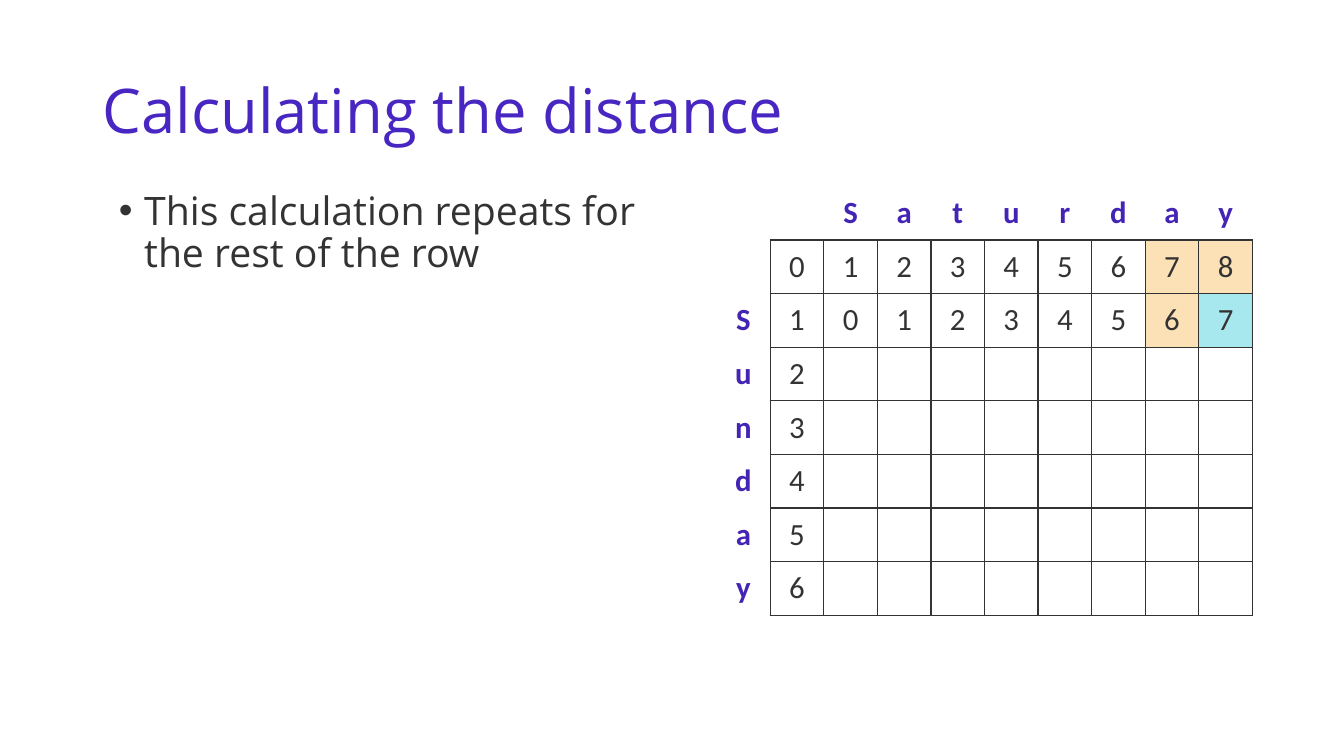
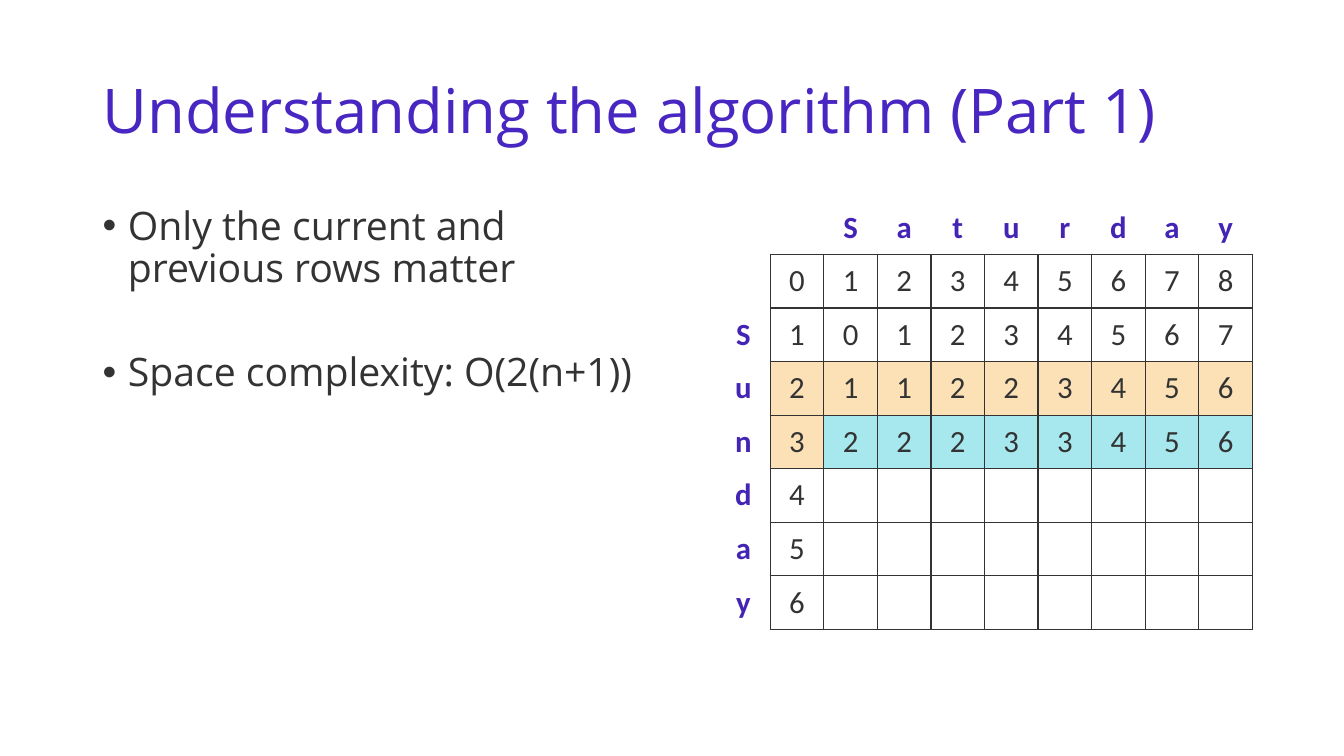
from dataclasses import dataclass

from lxml.etree import SubElement
from pptx import Presentation
from pptx.dml.color import RGBColor
from pptx.enum.text import MSO_ANCHOR, MSO_AUTO_SIZE, PP_ALIGN
from pptx.oxml.ns import qn
from pptx.util import Cm, Pt

COLUMN_WORD = "Saturday"
ROW_WORD = "Sunday"

SLIDES = [
    {
        "title": "Calculating the distance",
        "bullets": ["This calculation repeats for the rest of the row"],
        "body_box": (2.74, 4.7, 14.07, 12.47),
        "table_top": 4.7,
        "distances": ["012345678", "101234567", "2", "3", "4", "5", "6"],
        "marks": {0: ".......pp", 1: ".......pc"},
    },
    {
        "title": "Understanding the algorithm (Part 1)",
        "bullets": [
            "Only the current and previous rows matter",
            "Space complexity: O(2(n+1))",
        ],
        "body_box": (2.33, 5.08, 14.6, 12.09),
        "table_top": 5.06,
        "distances": ["012345678", "101234567", "211223456", "322233456", "4", "5", "6"],
        "marks": {2: "ppppppppp", 3: "pcccccccc"},
    },
]

TITLE_BOX = (2.33, 1.01, 29.21, 3.68)
TABLE_LEFT = 18.06
CELL_SIZE = 1.35
CELL_INSETS = (0.3, 0.15)
BULLET_INDENT = 0.64


@dataclass(frozen=True)
class Theme:
    title_color: str = "4826C1"
    letter_color: str = "4424B5"
    text_color: str = "333333"
    plain_fill: str = "FFFFFF"
    previous_fill: str = "FCE1B6"
    current_fill: str = "A7E8EE"
    text_font: str = "Open Sans"
    table_font: str = "Calibri"
    title_size: int = 44
    body_size: int = 28
    table_size: int = 22
    border_width: int = 1
    line_spacing: float = 0.9
    bullet_gap: int = 44


THEME = Theme()
MARK_FILLS = {
    ".": THEME.plain_fill,
    "p": THEME.previous_fill,
    "c": THEME.current_fill,
}


def write_text(paragraph, text, *, font, size, color, bold=False,
               alignment=PP_ALIGN.LEFT, line_spacing=None, space_before=0):
    paragraph.alignment = alignment
    paragraph.space_before = Pt(space_before)
    if line_spacing:
        paragraph.line_spacing = line_spacing
    run = paragraph.add_run()
    run.text = text
    run.font.name = font
    run.font.size = Pt(size)
    run.font.bold = bold
    run.font.color.rgb = RGBColor.from_string(color)


def place(shape, box):
    shape.left, shape.top, shape.width, shape.height = map(Cm, box)
    shape.text_frame.word_wrap = True
    shape.text_frame.auto_size = MSO_AUTO_SIZE.NONE


def add_bullet(paragraph):
    properties = paragraph._p.get_or_add_pPr()
    properties.set("marL", str(Cm(BULLET_INDENT)))
    properties.set("indent", str(-Cm(BULLET_INDENT)))
    SubElement(properties, qn("a:buFont"), typeface="Arial")
    SubElement(properties, qn("a:buChar"), char="•")


def fill_title(shape, text):
    place(shape, TITLE_BOX)
    shape.text_frame.vertical_anchor = MSO_ANCHOR.MIDDLE
    write_text(shape.text_frame.paragraphs[0], text, font=THEME.text_font,
               size=THEME.title_size, color=THEME.title_color,
               line_spacing=THEME.line_spacing)


def fill_body(shape, bullets, box):
    place(shape, box)
    frame = shape.text_frame
    for index, text in enumerate(bullets):
        paragraph = frame.add_paragraph() if index else frame.paragraphs[0]
        add_bullet(paragraph)
        write_text(paragraph, text, font=THEME.text_font, size=THEME.body_size,
                   color=THEME.text_color, line_spacing=THEME.line_spacing,
                   space_before=THEME.bullet_gap if index else 0)


def set_borders(cell, sides):
    properties = cell._tc.get_or_add_tcPr()
    for side in "LRTB":
        line = SubElement(properties, qn(f"a:ln{side}"),
                          w=str(Pt(THEME.border_width)))
        if side in sides:
            fill = SubElement(line, qn("a:solidFill"))
            SubElement(fill, qn("a:srgbClr"), val=THEME.text_color)
        else:
            SubElement(line, qn("a:noFill"))


def border_sides(row, column):
    if row and column:
        return "LRTB"
    if row:
        return "R"
    return "B" if column else ""


def format_cell(cell, text, fill, sides, is_letter):
    set_borders(cell, sides)
    cell.fill.solid()
    cell.fill.fore_color.rgb = RGBColor.from_string(fill)
    horizontal, vertical = map(Cm, CELL_INSETS)
    cell.margin_left = cell.margin_right = horizontal
    cell.margin_top = cell.margin_bottom = vertical
    cell.vertical_anchor = MSO_ANCHOR.MIDDLE
    if text:
        write_text(cell.text_frame.paragraphs[0], text, font=THEME.table_font,
                   size=THEME.table_size, bold=is_letter,
                   color=THEME.letter_color if is_letter else THEME.text_color,
                   alignment=PP_ALIGN.CENTER)


def add_distance_table(slide, distances, marks, top):
    column_count = len(COLUMN_WORD) + 2
    row_count = len(ROW_WORD) + 2
    table = slide.shapes.add_table(
        row_count, column_count, Cm(TABLE_LEFT), Cm(top),
        Cm(CELL_SIZE * column_count), Cm(CELL_SIZE * row_count)).table
    for column in table.columns:
        column.width = Cm(CELL_SIZE)
    for row in table.rows:
        row.height = Cm(CELL_SIZE)

    texts = [["", "", *COLUMN_WORD]]
    fills = [[THEME.plain_fill] * column_count]
    for index, (letter, values) in enumerate(zip(["", *ROW_WORD], distances)):
        texts.append([letter, *values.ljust(column_count - 1)])
        row_marks = marks.get(index, "." * (column_count - 1))
        fills.append([MARK_FILLS[mark] for mark in "." + row_marks])

    for row in range(row_count):
        for column in range(column_count):
            format_cell(table.cell(row, column), texts[row][column].strip(),
                        fills[row][column], border_sides(row, column),
                        is_letter=row == 0 or column == 0)


def main():
    presentation = Presentation()
    presentation.slide_width = Cm(33.87)
    presentation.slide_height = Cm(19.05)
    for content in SLIDES:
        slide = presentation.slides.add_slide(presentation.slide_layouts[1])
        fill_title(slide.shapes.title, content["title"])
        fill_body(slide.placeholders[1], content["bullets"], content["body_box"])
        add_distance_table(slide, content["distances"], content["marks"],
                           content["table_top"])
    presentation.save("out.pptx")


if __name__ == "__main__":
    main()
